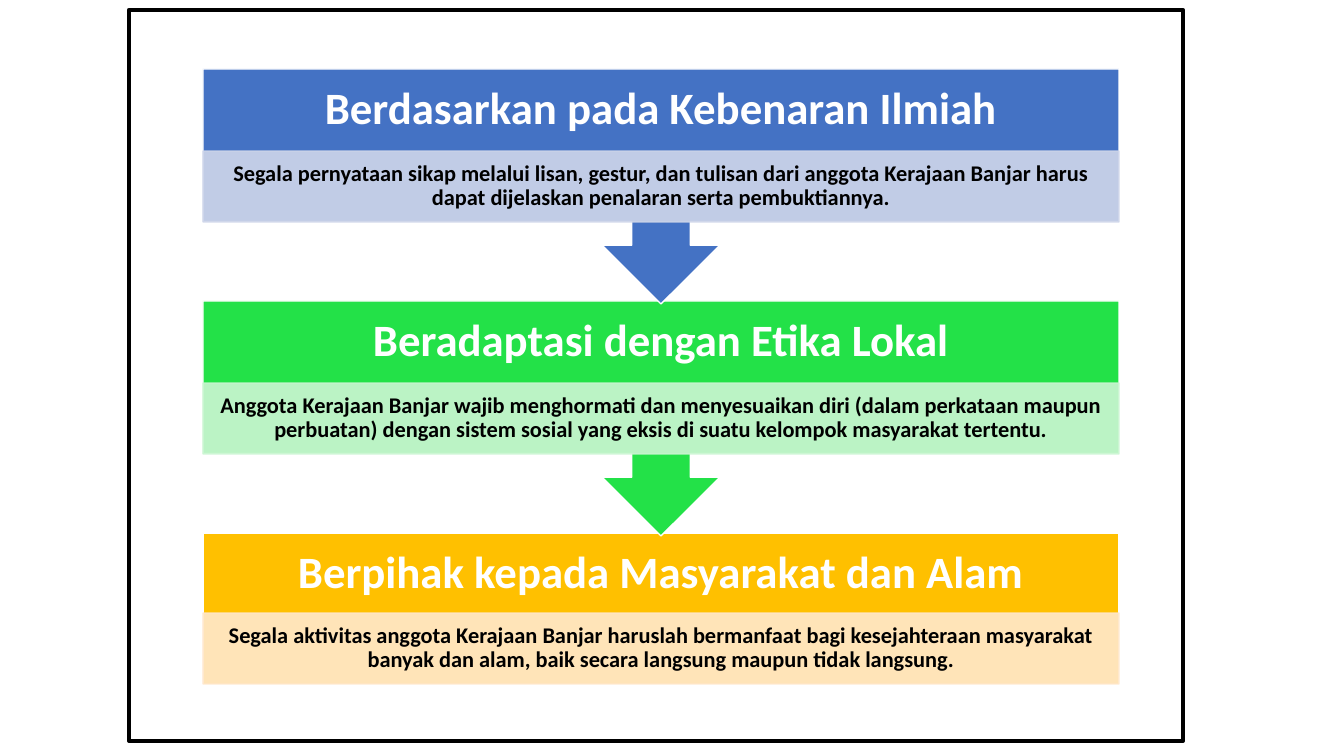
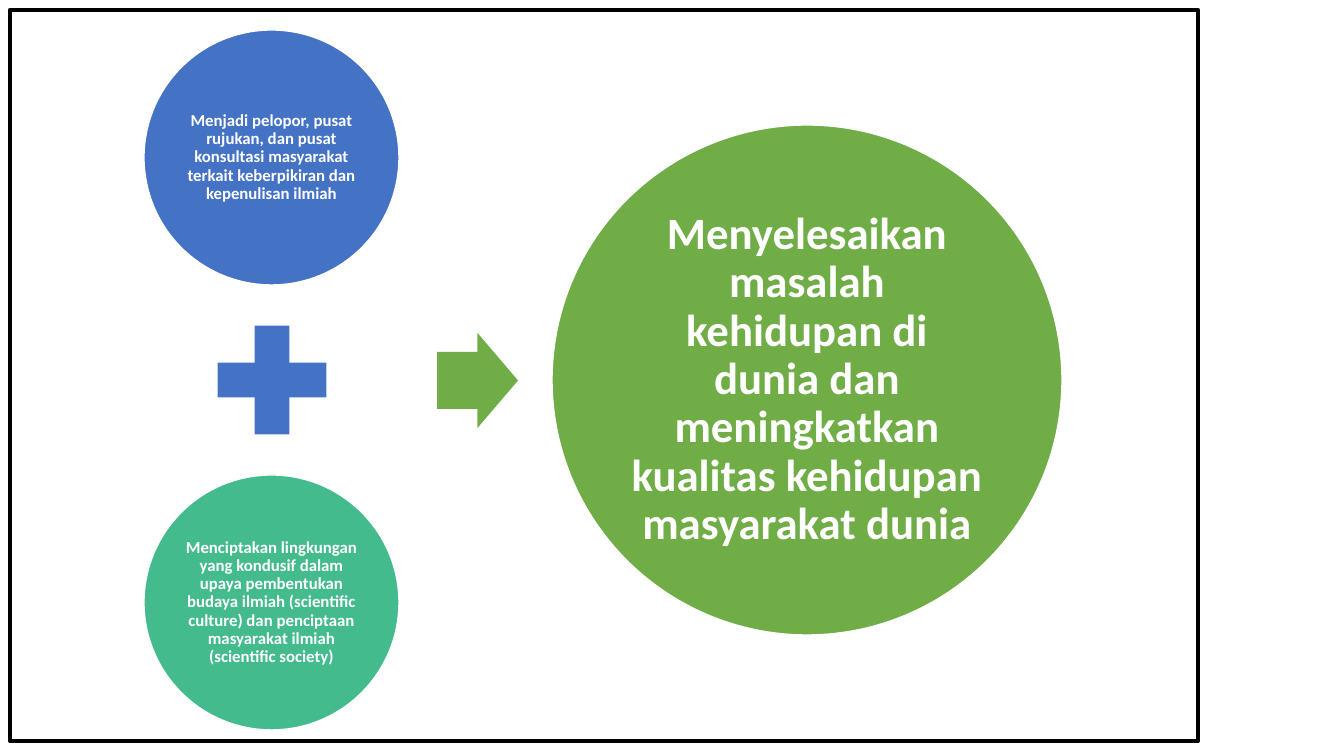
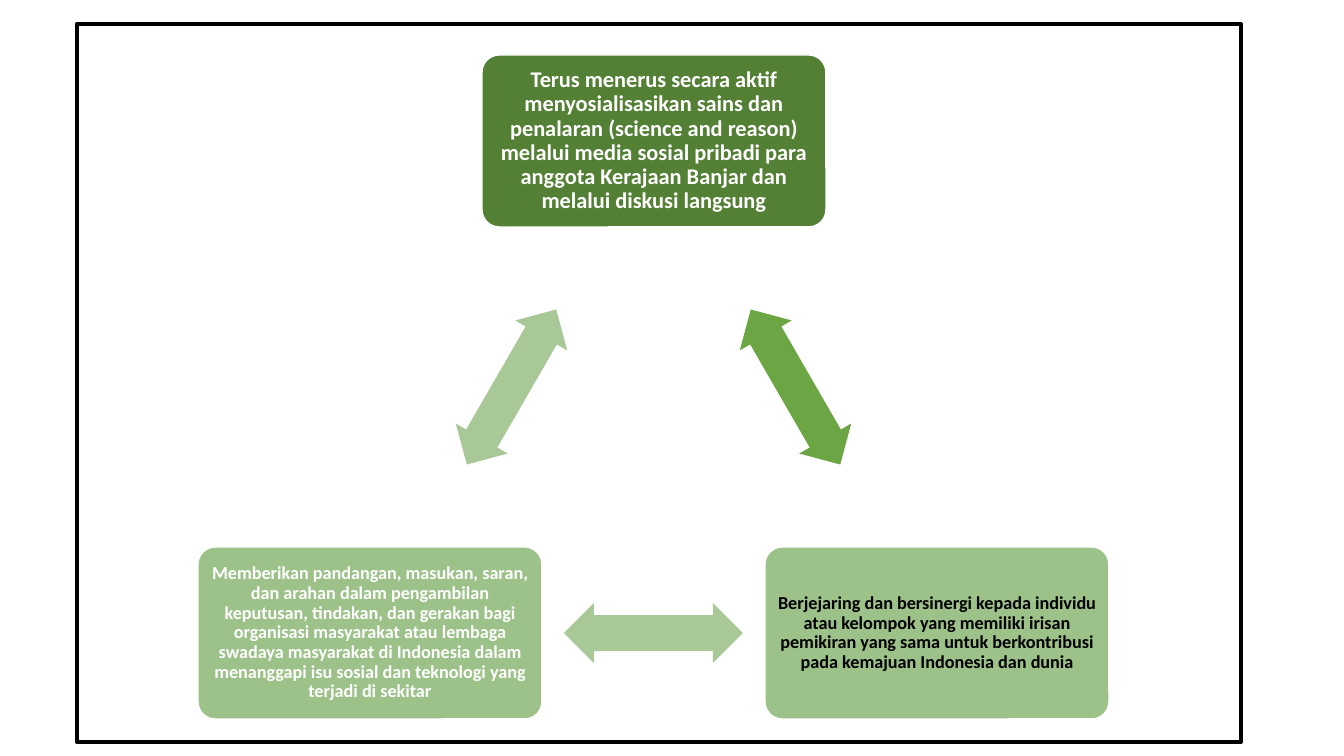
from dataclasses import dataclass
from typing import Optional

from lxml import etree
from pptx import Presentation
from pptx.dml.color import RGBColor
from pptx.enum import shapes, text
from pptx.oxml import ns
from pptx import util as u

# Shared scale, font and colours
SCALE = 100.8
FONT = "Calibri"
KIND = shapes.MSO_SHAPE
WHITE = RGBColor(0xFF, 0xFF, 0xFF)
BLACK = RGBColor(0x00, 0x00, 0x00)
BLUE = RGBColor(0x44, 0x72, 0xC4)
LIME = RGBColor(0x23, 0xE1, 0x48)
GOLD = RGBColor(0xFF, 0xC0, 0x00)
PALE_BLUE = RGBColor(0xCF, 0xD6, 0xEA)
PALE_LIME = RGBColor(0xCC, 0xF6, 0xD3)
PALE_GOLD = RGBColor(0xFF, 0xE8, 0xCC)
TEAL = RGBColor(0x43, 0xBB, 0x8D)
GREEN = RGBColor(0x70, 0xAD, 0x47)
FOREST = RGBColor(0x53, 0x80, 0x35)
LEAF = RGBColor(0x6B, 0xA5, 0x44)
SAGE = RGBColor(0x9C, 0xC1, 0x89)
MIST = RGBColor(0xA8, 0xC9, 0x97)


@dataclass
class Box:
    left: int
    top: int
    width: int
    height: int


@dataclass
class Label:
    words: str
    size: int
    color: RGBColor = WHITE
    side: int = 2
    edge: int = 2


@dataclass
class Step:
    title: str
    detail: str
    fill: RGBColor
    pale: RGBColor
    drop: int


@dataclass
class Node:
    box: Box
    fill: RGBColor
    label: Label


def px(count: float) -> u.Emu:
    return u.Inches(count / SCALE)


def place(box: Box) -> list[u.Emu]:
    return [px(box.left), px(box.top), px(box.width), px(box.height)]


def write(shape, label: Label) -> None:
    frame = shape.text_frame
    frame.word_wrap = True
    frame.vertical_anchor = text.MSO_ANCHOR.MIDDLE
    frame.margin_left = frame.margin_right = px(label.side)
    frame.margin_top = frame.margin_bottom = px(label.edge)
    para = frame.paragraphs[0]
    para.alignment = text.PP_ALIGN.CENTER
    para.line_spacing = 0.9
    run = para.add_run()
    run.text = label.words
    font = run.font
    font.name, font.size, font.bold = FONT, u.Pt(label.size), True
    font.color.rgb = label.color


def draw(slide, kind: KIND, box: Box, fill: Optional[RGBColor],
         line: Optional[RGBColor] = None, weight: int = 1, turn: int = 0,
         adjust: tuple[float, ...] = (), label: Optional[Label] = None):
    shape = slide.shapes.add_shape(kind, *place(box))
    shape.shadow.inherit = False
    shape.rotation = turn
    for index, value in enumerate(adjust):
        shape.adjustments[index] = value
    if fill is None:
        shape.fill.background()
    else:
        shape.fill.solid()
        shape.fill.fore_color.rgb = fill
    if line is None:
        shape.line.fill.background()
    else:
        shape.line.color.rgb = line
        shape.line.width = u.Pt(weight)
    if label:
        write(shape, label)
    return shape


def fade(shape, percent: int) -> None:
    for color in shape.element.spPr.iter(ns.qn("a:srgbClr")):
        alpha = etree.SubElement(color, ns.qn("a:alpha"))
        alpha.set("val", str(percent * 1000))


def border(slide, box: Box) -> None:
    draw(slide, KIND.RECTANGLE, box, None, BLACK, 3)


deck = Presentation()
deck.slide_width, deck.slide_height = px(1344), px(756)
blank = deck.slide_layouts[6]

# Slide 1: three principles, stacked from the bottom up
LEFT, TOP, WIDTH, PITCH = 203, 69, 916, 232
steps = [
    Step("Berdasarkan pada Kebenaran Ilmiah",
         "Segala pernyataan sikap melalui lisan, gestur, dan tulisan dari "
         "anggota Kerajaan Banjar harus dapat dijelaskan penalaran serta "
         "pembuktiannya.", BLUE, PALE_BLUE, 82),
    Step("Beradaptasi dengan Etika Lokal",
         "Anggota Kerajaan Banjar wajib menghormati dan menyesuaikan diri "
         "(dalam perkataan maupun perbuatan) dengan sistem sosial yang eksis "
         "di suatu kelompok masyarakat tertentu.", LIME, PALE_LIME, 82),
    Step("Berpihak kepada Masyarakat dan Alam",
         "Segala aktivitas anggota Kerajaan Banjar haruslah bermanfaat bagi "
         "kesejahteraan masyarakat banyak dan alam, baik secara langsung "
         "maupun tidak langsung.", GOLD, PALE_GOLD, 80),
]
slide = deck.slides.add_slide(blank)
for row, step in reversed(list(enumerate(steps))):
    top = TOP + row * PITCH
    if row == len(steps) - 1:
        draw(slide, KIND.RECTANGLE, Box(LEFT, top, WIDTH, 152),
             step.fill, WHITE)
    else:
        draw(slide, KIND.UP_ARROW_CALLOUT, Box(LEFT, top, WIDTH, 235),
             step.fill, WHITE, turn=180)
    title = slide.shapes.add_textbox(*place(Box(LEFT, top, WIDTH, 82)))
    write(title, Label(step.title, 32, side=25, edge=25))
    panel = draw(slide, KIND.RECTANGLE, Box(LEFT, top + step.drop, WIDTH, 71),
                 step.pale, step.pale,
                 label=Label(step.detail, 16, BLACK, side=12))
    fade(panel, 90)
border(slide, Box(129, 10, 1054, 731))

# Slide 2: two missions add up to one vision
circles = [
    Node(Box(144, 30, 255, 255), BLUE, Label(
        "Menjadi pelopor, pusat rujukan, dan pusat konsultasi masyarakat "
        "terkait keberpikiran dan kepenulisan ilmiah", 12)),
    Node(Box(144, 475, 255, 255), TEAL, Label(
        "Menciptakan lingkungan yang kondusif dalam upaya pembentukan budaya "
        "ilmiah (scientific culture) dan penciptaan masyarakat ilmiah "
        "(scientific society)", 12)),
    Node(Box(552, 125, 510, 510), GREEN, Label(
        "Menyelesaikan masalah kehidupan di dunia dan meningkatkan kualitas "
        "kehidupan masyarakat dunia", 32, side=4, edge=4)),
]
slide = deck.slides.add_slide(blank)
for node in circles:
    draw(slide, KIND.OVAL, node.box, node.fill, WHITE, label=node.label)
draw(slide, KIND.MATH_PLUS, Box(198, 306, 148, 148), BLUE)
draw(slide, KIND.RIGHT_ARROW, Box(437, 333, 81, 95), GREEN, adjust=(0.6, 0.5))
border(slide, Box(10, 10, 1188, 731))

# Slide 3: cycle of three programmes
cards = [
    Node(Box(482, 55, 344, 172), FOREST, Label(
        "Terus menerus secara aktif menyosialisasikan sains dan penalaran "
        "(science and reason) melalui media sosial pribadi para anggota "
        "Kerajaan Banjar dan melalui diskusi langsung", 16, side=7, edge=7)),
    Node(Box(765, 547, 344, 172), SAGE, Label(
        "Berjejaring dan bersinergi kepada individu atau kelompok yang "
        "memiliki irisan pemikiran yang sama untuk berkontribusi pada "
        "kemajuan Indonesia dan dunia", 13, BLACK, side=5, edge=5)),
    Node(Box(198, 547, 344, 172), SAGE, Label(
        "Memberikan pandangan, masukan, saran, dan arahan dalam pengambilan "
        "keputusan, tindakan, dan gerakan bagi organisasi masyarakat atau "
        "lembaga swadaya masyarakat di Indonesia dalam menanggapi isu sosial "
        "dan teknologi yang terjadi di sekitar", 13, side=5, edge=5)),
]
arrows = [(706, 357, LEAF), (564, 603, MIST), (422, 357, MIST)]
slide = deck.slides.add_slide(blank)
for index, (node, (left, top, fill)) in enumerate(zip(cards, arrows)):
    draw(slide, KIND.ROUNDED_RECTANGLE, node.box, node.fill, WHITE,
         adjust=(0.1,), label=node.label)
    draw(slide, KIND.LEFT_RIGHT_ARROW, Box(left, top, 179, 60), fill,
         turn=60 + 120 * index, adjust=(0.6, 0.5))
border(slide, Box(77, 24, 1164, 718))

deck.save("out.pptx")
